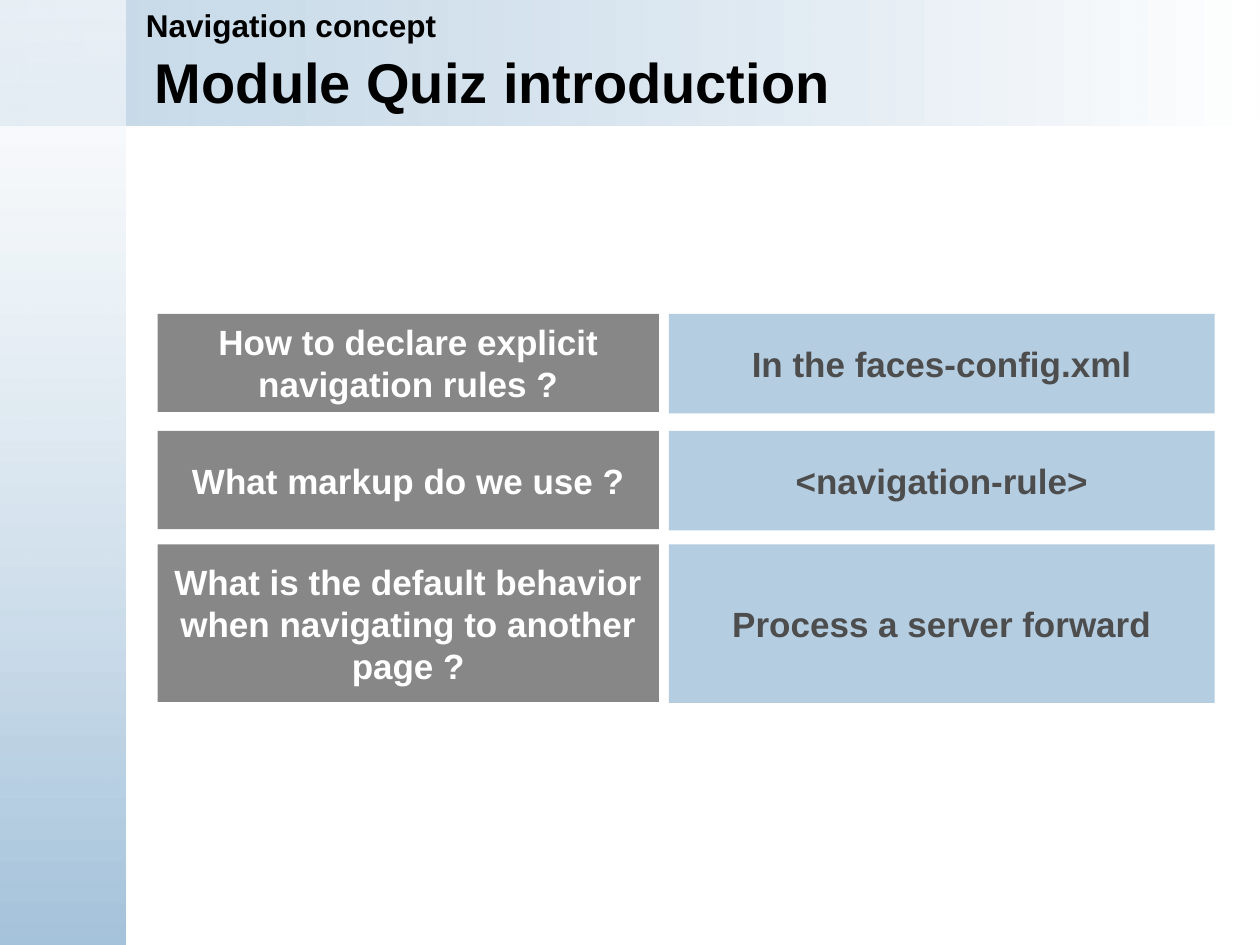
from pptx import Presentation
from pptx.dml.color import RGBColor
from pptx.enum.shapes import MSO_SHAPE
from pptx.enum.text import MSO_ANCHOR, MSO_AUTO_SIZE, PP_ALIGN
from pptx.oxml.ns import qn
from pptx.util import Inches, Pt

RECT = MSO_SHAPE.RECTANGLE
MIDDLE, TOP = MSO_ANCHOR.MIDDLE, MSO_ANCHOR.TOP
NO_FIT = MSO_AUTO_SIZE.NONE
LEFT, CENTER = PP_ALIGN.LEFT, PP_ALIGN.CENTER
BLUE, GRAY, WHITE, BLACK = "A5C3DB", "4D4D4D", "FFFFFF", "000000"

ROWS = [
    (2.49, 0.78, "How to declare explicit navigation rules ?", "In the faces-config.xml"),
    (3.42, 0.78, "What markup do we use ?", "<navigation-rule>"),
    (4.32, 1.25, "What is the default behavior when navigating to another page ?",
     "Process a server forward"),
]


def paint(item, color):
    """Set the colour of a fill, font or gradient stop from a hex string."""
    item.rgb = RGBColor.from_string(color)


def fade(shape, alpha):
    """Give the first colour of a shape's fill an opacity in percent."""
    first = next(shape.element.spPr.iter(qn("a:srgbClr")))
    node = first.makeelement(qn("a:alpha"), {"val": str(alpha * 1000)})
    first.append(node)


def write(shape, text, size, color, align, anchor):
    """Fill a shape with one bold, wrapped paragraph."""
    frame = shape.text_frame
    frame.text = text
    frame.word_wrap = True
    frame.auto_size = NO_FIT
    frame.vertical_anchor = anchor
    par = frame.paragraphs[0]
    par.alignment = align
    par.space_before = Pt(0)
    font = par.runs[0].font
    font.name, font.size, font.bold = "Arial", Pt(size), True
    paint(font.color, color)


def add_rect(slide, box):
    """Add a plain rectangle without line or shadow."""
    shape = slide.shapes.add_shape(RECT, *map(Inches, box))
    shape.shadow.inherit = False
    shape.line.fill.background()
    return shape


def add_band(slide, box, colors, angle, alpha):
    """Add a gradient band whose first colour is translucent."""
    band = add_rect(slide, box)
    band.fill.gradient()
    band.fill.gradient_angle = angle
    for stop, color in zip(band.fill.gradient_stops, colors):
        paint(stop.color, color)
    fade(band, alpha)


def add_head(slide, box):
    """Place the title and the topic line above it."""
    left, top, width, height = box
    title = slide.shapes.title
    title.left, title.top = Inches(left + 0.07), Inches(top + 0.36)
    title.width, title.height = Inches(8.45), Inches(0.57)
    title.element.getparent().append(title.element)
    write(title, "Module Quiz introduction", 32, BLACK, LEFT, MIDDLE)
    topic = slide.shapes.add_textbox(*map(Inches, (left, top, width, 0.4)))
    write(topic, "Navigation concept", 18, BLACK, LEFT, TOP)


def add_cell(slide, box, text, fill, alpha, color):
    """Add one translucent quiz cell."""
    cell = add_rect(slide, box)
    cell.fill.solid()
    paint(cell.fill.fore_color, fill)
    fade(cell, alpha)
    write(cell, text, 20, color, CENTER, MIDDLE)


def add_quiz(slide, left, width):
    """Place each question beside its answer."""
    ask, gap = 3.98, 0.08
    start = left + ask + gap
    for top, height, query, reply in ROWS:
        add_cell(slide, (left, top, ask, height), query, GRAY, 67, WHITE)
        add_cell(slide, (start, top, width - ask - gap, height + 0.01),
                 reply, BLUE, 83, GRAY)


def main():
    """Build and save the slide."""
    deck = Presentation()
    deck.slide_width, deck.slide_height = Inches(10), Inches(7.5)
    slide = deck.slides.add_slide(deck.slide_layouts[5])
    add_band(slide, (0, 0, 10, 1), (BLUE, WHITE), 0, 62)
    add_band(slide, (0, 0, 1, 7.5), (WHITE, BLUE), 270, 59)
    add_head(slide, (1.06, 0, 8.94, 1))
    add_quiz(slide, 1.25, 8.39)
    deck.save("out.pptx")


if __name__ == "__main__":
    main()
